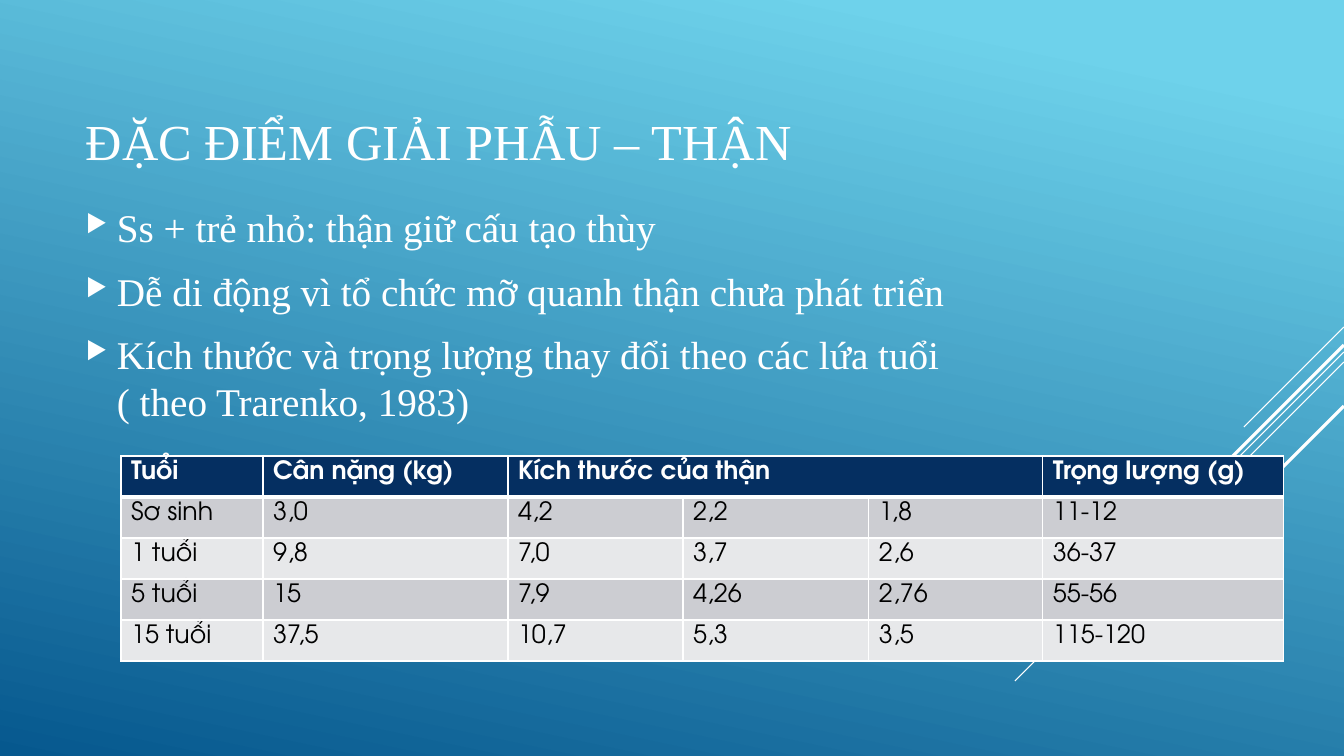
import pptx
import pptx.util
import pptx.dml.color
import pptx.enum.text
import pptx.enum.shapes
import pptx.oxml
import pptx.oxml.ns

TITLE = "ĐẶC ĐIỂM GIẢI PHẪU – THẬN"
POINTS = [
    "Ss + trẻ nhỏ: thận giữ cấu tạo thùy",
    "Dễ di động vì tổ chức mỡ quanh thận chưa phát triển",
    "Kích thước và trọng lượng thay đổi theo các lứa tuổi ( theo Trarenko, 1983)",
]
ROWS = [
    ["Tuổi", "Cân nặng (kg)", "Kích thước của thận", "", "", "Trọng lượng (g)"],
    ["Sơ sinh", "3,0", "4,2", "2,2", "1,8", "11-12"],
    ["1 tuổi", "9,8", "7,0", "3,7", "2,6", "36-37"],
    ["5 tuổi", "15", "7,9", "4,26", "2,76", "55-56"],
    ["15 tuổi", "37,5", "10,7", "5,3", "3,5", "115-120"],
]
COLS = [142, 245, 175, 186, 174, 241]
RAYS = [(327, 100, 0.75), (352, 329, 0.75), (362, 209, 0.75), (345, 193, 2.25), (406, 140, 2.25)]
HEX = {"sky": "6ED2EB", "sea": "06588E", "white": "FFFFFF", "black": "000000",
       "navy": "052F61", "dark": "CCCDD2", "light": "E7E8EA"}
SERIF, SANS = "Times New Roman", "TeX Gyre Adventor"
WIDE, HIGH, ROW = 1344, 756, 41
Pt = pptx.util.Pt
MIDDLE = pptx.enum.text.MSO_ANCHOR.MIDDLE


def px(n):
    return round(n * 914400 / 100.8)


def rgb(name):
    return pptx.dml.color.RGBColor.from_string(HEX[name])


def put(item, **values):
    for key, value in values.items():
        setattr(item, key, value)


def node(tag, inner="", **attrs):
    text = "".join(f' {key}="{value}"' for key, value in attrs.items())
    space = pptx.oxml.ns.nsdecls("a")
    return pptx.oxml.parse_xml(f"<a:{tag} {space}{text}>{inner}</a:{tag}>")


def paint(color):
    return f'<a:srgbClr val="{HEX[color]}"/>'


def write(para, text, face, size, color, bold=False):
    run = para.add_run()
    run.text = text
    put(run.font, name=face, size=Pt(size), bold=bold)
    run.font.color.rgb = rgb(color)


def add_box(slide, left, top, width, height):
    frame = slide.shapes.add_textbox(px(left), px(top), px(width), px(height)).text_frame
    put(frame, word_wrap=True, vertical_anchor=MIDDLE)
    return frame


def add_back(slide):
    fill = slide.background.fill
    fill.gradient()
    fill.gradient_angle = 258
    for stop, (spot, color) in zip(fill.gradient_stops, [(0.1, "sky"), (1, "sea")]):
        stop.position = spot
        stop.color.rgb = rgb(color)


def add_rays(slide):
    for top, run, weight in RAYS:
        ray = slide.shapes.add_connector(
            pptx.enum.shapes.MSO_CONNECTOR.STRAIGHT,
            px(WIDE), px(top), px(WIDE - run), px(top + run))
        ray.line.width = Pt(weight)
        ray.line.color.rgb = rgb("white")
        ray._element.spPr.append(node("effectLst"))


def add_points(slide):
    frame = add_box(slide, 76, 174, 940, 334)
    frame.margin_bottom = px(59)
    for i, text in enumerate(POINTS):
        para = frame.add_paragraph() if i else frame.paragraphs[0]
        put(para, space_before=Pt(5.6), space_after=Pt(6))
        props = para._p.get_or_add_pPr()
        props.set("marL", str(px(31)))
        props.set("indent", str(-px(31)))
        props.append(node("buClr", paint("white")))
        props.append(node("buSzPct", val=62000))
        props.append(node("buChar", char="▶"))
        write(para, text, SERIF, 28, "white")


def add_edges(cell, r):
    weights = {"lnL": 1, "lnR": 1, "lnT": 3 if r == 1 else 1, "lnB": 1 if r else 3}
    props = cell._tc.get_or_add_tcPr()
    for i, (tag, weight) in enumerate(weights.items()):
        inner = f"<a:solidFill>{paint('white')}</a:solidFill>"
        props.insert(i, node(tag, inner, w=Pt(weight)))


def add_grid(slide):
    grid = slide.shapes.add_table(
        len(ROWS), len(COLS), px(121), px(456), px(sum(COLS)), px(ROW * len(ROWS))).table
    for col, width in zip(grid.columns, COLS):
        col.width = px(width)
    for r, row in enumerate(ROWS):
        grid.rows[r].height = px(ROW)
        for c, text in enumerate(row):
            cell = grid.cell(r, c)
            put(cell, margin_top=px(5), margin_bottom=0)
            cell.fill.solid()
            cell.fill.fore_color.rgb = rgb(("dark" if r % 2 else "light") if r else "navy")
            add_edges(cell, r)
            if text:
                write(cell.text_frame.paragraphs[0], text, SANS, 18,
                      "black" if r else "white", r == 0)
    grid.cell(0, 2).merge(grid.cell(0, 4))


def main():
    deck = pptx.Presentation()
    put(deck, slide_width=px(WIDE), slide_height=px(HIGH))
    slide = deck.slides.add_slide(deck.slide_layouts[6])
    add_back(slide)
    add_rays(slide)
    head = add_box(slide, 76, 57, 940, 166)
    write(head.paragraphs[0], TITLE, SERIF, 36, "white")
    add_points(slide)
    add_grid(slide)
    deck.save("out.pptx")


if __name__ == "__main__":
    main()
